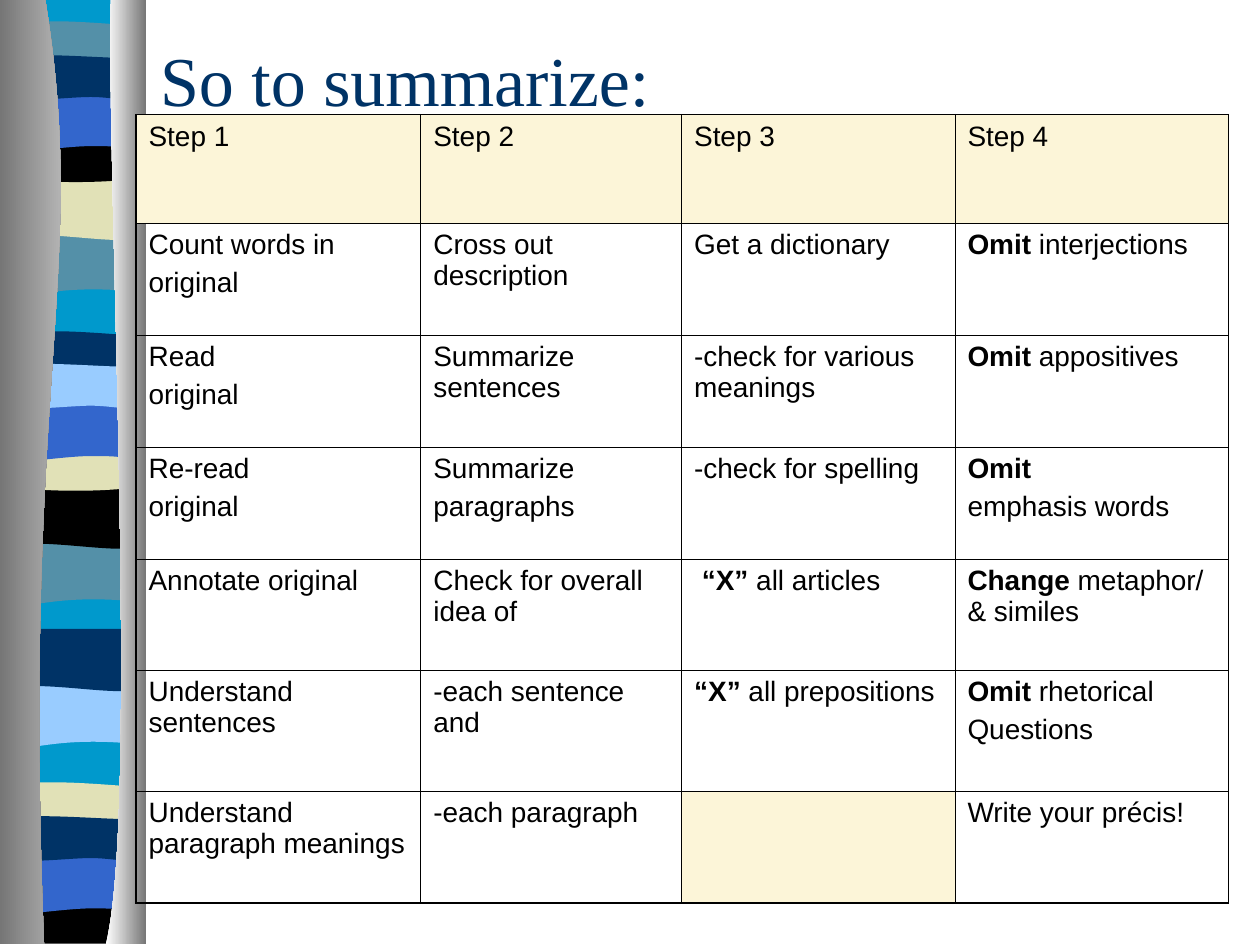
from lxml.etree import SubElement
from pptx import Presentation
from pptx.dml.color import RGBColor
from pptx.enum.text import MSO_ANCHOR, PP_ALIGN
from pptx.oxml.ns import qn
from pptx.util import Inches, Pt

COLORS = {
    "cyan": "0099CC", "teal": "5490A8", "sand": "E1E1B7", "black": "000000",
    "blue": "3366CC", "navy": "003366", "sky": "99CCFF", "cream": "FCF5D8",
    "gray": "767676", "silver": "D1D1D1", "white": "FFFFFF",
}
RGB = {name: RGBColor.from_string(value) for name, value in COLORS.items()}


def add_outline(shapes, path, top=0):
    points = [step[i:i + 2] for step in path for i in range(0, len(step), 2)]
    points = [(Inches(x), Inches(top + y)) for x, y in points]
    builder = shapes.build_freeform(*points[0])
    builder.add_line_segments(points[1:], close=True)
    sp = builder.convert_to_shape()
    sp.shadow.inherit = False
    sp.line.fill.background()
    lines = iter(list(sp._element.iter(qn("a:lnTo"))))
    for step in path[1:]:
        line = next(lines)
        if len(step) == 6:
            line.tag = qn("a:cubicBezTo")
            for _ in range(2):
                extra = next(lines)
                line.append(extra[0])
                extra.getparent().remove(extra)
    return sp


def write_runs(p, parts, font, color):
    for text, bold in parts:
        r = p.add_run()
        r.text = text
        for key, value in font.items():
            setattr(r.font, key, value)
        r.font.bold = bold
        r.font.color.rgb = RGB[color]


prs = Presentation()
prs.slide_width, prs.slide_height = Inches(10), Inches(7.5)
layout = prs.slide_layouts[5]
s = prs.slides.add_slide(layout)

BANDS = {
    "back": [(1.14, 0), (1.14, 7.48), (0.06, 7.48), (0.06, 0)],
    "wave": [(1.14, 0), (1.14, 0.47), (0.39, 0.39, 0.24, 0.55, 0.06, 0.47), (0.06, 0)],
    "roll": [(1.14, 0), (1.14, 0.47), (0.96, 0.55, 0.39, 0.41, 0.06, 0.47), (0.06, 0)],
    "thin": [(1.14, 0.05), (1.14, 0.29), (0.96, 0.33, 0.24, 0.33, 0.06, 0.29), (0.06, 0.05),
             (0.12, 0, 0.29, 0.01, 0.47, 0.01), (0.65, 0.01, 1, 0.04, 1.14, 0.05)],
    "bowl": [(1.14, 0), (1.14, 0.32), (0.96, 0.38, 0.24, 0.38, 0.06, 0.32), (0.06, 0),
             (0.72, 0.05, 0.91, 0, 1.14, 0)],
    "arch": [(1.14, 0), (1.14, 0.47), (0.97, 0.42, 0.9, 0.42, 0.72, 0.42),
             (0.54, 0.42, 0.22, 0.47, 0.06, 0.47), (0.06, 0)],
    "flag": [(1.14, 0.05), (1.14, 0.36), (1.07, 0.41, 0.9, 0.36, 0.72, 0.36),
             (0.54, 0.36, 0.17, 0.41, 0.06, 0.36), (0.06, 0.05),
             (0.21, 0, 0.79, 0.05, 0.97, 0.05), (1.15, 0.05, 1.1, 0.05, 1.14, 0.05)],
    "foot": [(1.14, 0), (1.14, 0.37), (0.06, 0.37), (0.06, 0),
             (0.72, 0.05, 0.91, 0, 1.14, 0)],
}
ribbon = s.shapes.add_group_shape()
for band, top, color in [
    ("back", 0, "cyan"),
    ("wave", 1.85, "teal"), ("roll", 1.41, "sand"), ("thin", 0.16, "teal"),
    ("bowl", 1.08, "black"), ("arch", 0.74, "blue"), ("flag", 0.41, "navy"),
    ("wave", 4.31, "teal"), ("roll", 3.86, "black"), ("thin", 2.62, "navy"),
    ("bowl", 3.53, "sand"), ("arch", 3.2, "blue"), ("flag", 2.86, "sky"),
    ("wave", 5.44, "sky"), ("roll", 4.99, "navy"), ("thin", 6.2, "sand"),
    ("foot", 7.12, "black"), ("arch", 6.79, "blue"), ("flag", 6.45, "navy"),
]:
    sp = add_outline(ribbon.shapes, BANDS[band], top)
    sp.fill.solid()
    sp.fill.fore_color.rgb = RGB[color]

for path, start, end in [
    ([(0.36, 0), (0.71, 2.16, 0.17, 2.96, 0.35, 7.49), (0, 7.49), (0, 0)], "gray", "silver"),
    ([(0.88, 0), (0.84, 1.25, 1.11, 6.46, 0.84, 7.49), (1.16, 7.49), (1.16, 0)], "white", "gray"),
]:
    sp = add_outline(ribbon.shapes, path)
    sp.fill.gradient()
    sp.fill.gradient_angle = 0
    for stop, color in zip(sp.fill.gradient_stops, (start, end)):
        stop.color.rgb = RGB[color]
layout.shapes._spTree.insert(2, ribbon._element)

title = s.shapes.title
for key, value in {"left": 1.17, "top": 0, "width": 8.5, "height": 1.25}.items():
    setattr(title, key, Inches(value))
tf = title.text_frame
tf.vertical_anchor = MSO_ANCHOR.MIDDLE
tf.paragraphs[0].alignment = PP_ALIGN.LEFT
write_runs(tf.paragraphs[0], [("So to summarize:", False)],
           {"name": "Times New Roman", "size": Pt(40)}, "navy")

ROWS = [
    ["Step 1", "Step 2", "Step 3", "Step 4"],
    ["Count words in\noriginal", "Cross out description", "Get a dictionary",
     "Omit| interjections"],
    ["Read\noriginal", "Summarize sentences", "-check for various meanings",
     "Omit| appositives"],
    ["Re-read\noriginal", "Summarize\nparagraphs", "-check for spelling",
     "Omit|\nemphasis words"],
    ["Annotate original", "Check for overall idea of", " “X”| all articles",
     "Change |metaphor/ & similes"],
    ["Understand sentences", "-each sentence and", "“X”| all prepositions",
     "Omit |rhetorical\nQuestions"],
    ["Understand paragraph meanings", "-each paragraph", "", "Write your précis!"],
]
WIDTHS = [2.26, 2.07, 2.17, 2.17]
HEIGHTS = [0.86, 0.89, 0.89, 0.89, 0.88, 0.96, 0.89]
table = s.shapes.add_table(len(ROWS), len(WIDTHS), Inches(1.08), Inches(0.91),
                           Inches(sum(WIDTHS)), Inches(sum(HEIGHTS))).table
table.first_row = table.horz_banding = False
for column, width in zip(table.columns, WIDTHS):
    column.width = Inches(width)
for row, height in zip(table.rows, HEIGHTS):
    row.height = Inches(height)

for i, row in enumerate(ROWS):
    for j, text in enumerate(row):
        cell = table.cell(i, j)
        tcPr = cell._tc.get_or_add_tcPr()
        outer = {"lnL": j == 0, "lnR": j == len(WIDTHS) - 1,
                 "lnT": i == 0, "lnB": i == len(ROWS) - 1}
        for side, is_outer in outer.items():
            ln = SubElement(tcPr, qn(f"a:{side}"), w=str(Pt(1.08 if is_outer else 0.45)))
            SubElement(SubElement(ln, qn("a:solidFill")), qn("a:srgbClr"), val=COLORS["black"])
        if i == 0 or not text:
            cell.fill.solid()
            cell.fill.fore_color.rgb = RGB["cream"]
        else:
            cell.fill.background()
        if not text:
            continue
        tf = cell.text_frame
        for k, line in enumerate(text.split("\n")):
            p = tf.add_paragraph() if k else tf.paragraphs[0]
            p.space_before = Pt(4)
            strong, _, plain = line.rpartition("|")
            parts = [(part, bold) for part, bold in ((strong, True), (plain, False)) if part]
            write_runs(p, parts, {"name": "Arial", "size": Pt(16)}, "black")

prs.save("out.pptx")
